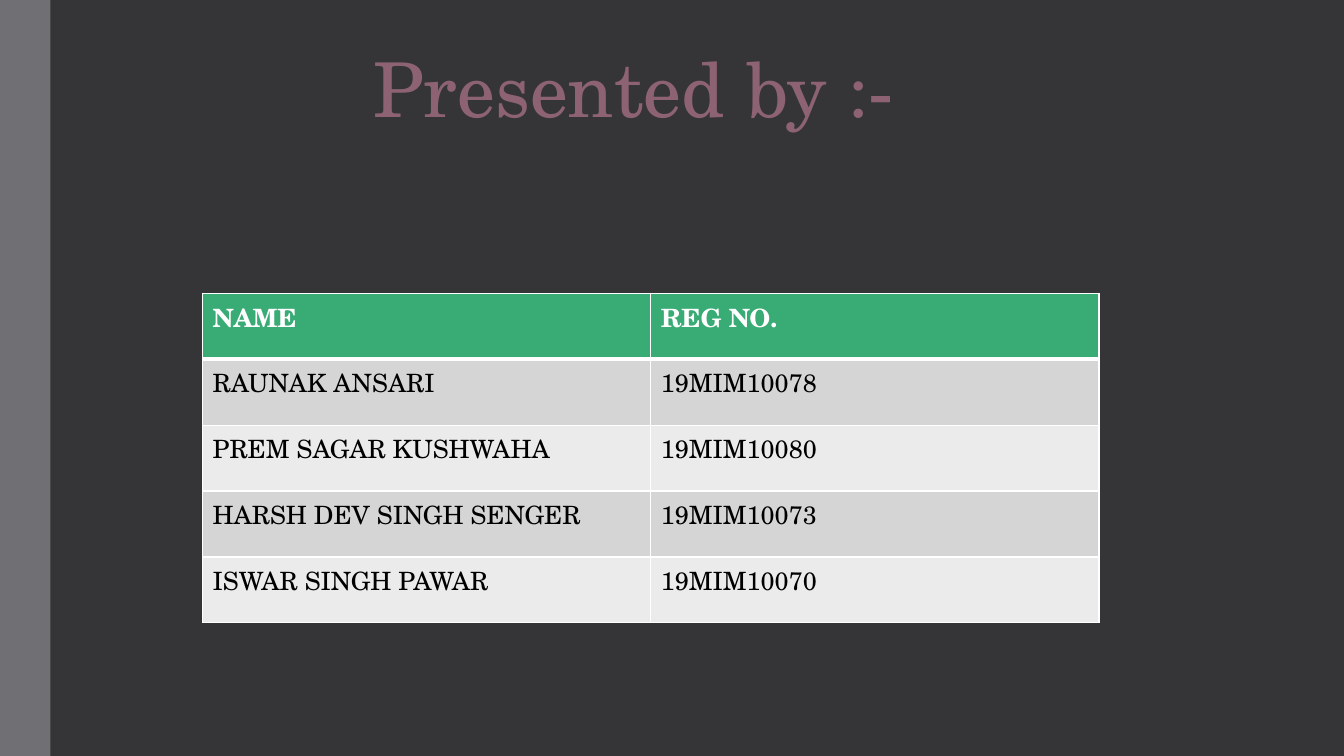
import dataclasses

import pptx
import pptx.dml.color
import pptx.enum.shapes
import pptx.enum.text
import pptx.oxml
import pptx.oxml.ns
import pptx.util

Inches = pptx.util.Inches
Pt = pptx.util.Pt


@dataclasses.dataclass(frozen=True)
class Theme:
    font: str = "TeX Gyre Schola"
    title_size: int = 54
    table_size: int = 18
    background: str = "353537"
    side_band: str = "6F6F74"
    title: str = "8D6374"
    header: str = "39AB75"
    bands: tuple = ("D5D5D6", "EBEBEB")
    light: str = "FFFFFF"
    dark: str = "000000"


THEME = Theme()

PRESENTERS = [
    ("NAME", "REG NO."),
    ("RAUNAK ANSARI", "19MIM10078"),
    ("PREM SAGAR KUSHWAHA", "19MIM10080"),
    ("HARSH DEV SINGH SENGER", "19MIM10073"),
    ("ISWAR SINGH PAWAR", "19MIM10070"),
]


def paint(fill, color):
    fill.solid()
    fill.fore_color.rgb = pptx.dml.color.RGBColor.from_string(color)


def add_run(p, text, size, color, bold=False):
    r = p.add_run()
    r.text = text
    r.font.name = THEME.font
    r.font.size = Pt(size)
    r.font.bold = bold
    r.font.color.rgb = pptx.dml.color.RGBColor.from_string(color)


def set_borders(cell, **widths):
    """Draw cell borders; widths are points, given in the order L, R, T, B."""
    tcPr = cell._tc.get_or_add_tcPr()
    for i, (side, width) in enumerate(widths.items()):
        tcPr.insert(i, pptx.oxml.parse_xml(
            f'<a:ln{side} {pptx.oxml.ns.nsdecls("a")} w="{Pt(width)}">'
            f'<a:solidFill><a:srgbClr val="{THEME.light}"/></a:solidFill>'
            f'</a:ln{side}>'))


def add_side_band(s, left, top, width, height):
    sp = s.shapes.add_shape(
        pptx.enum.shapes.MSO_SHAPE.RECTANGLE,
        Inches(left), Inches(top), Inches(width), Inches(height))
    sp.shadow.inherit = False
    paint(sp.fill, THEME.side_band)
    sp.line.fill.background()


def add_title(s, text, left, top, width, height):
    sp = s.shapes.title
    sp.left, sp.top = Inches(left), Inches(top)
    sp.width, sp.height = Inches(width), Inches(height)
    tf = sp.text_frame
    tf.word_wrap = False
    tf.auto_size = pptx.enum.text.MSO_AUTO_SIZE.NONE
    tf.vertical_anchor = pptx.enum.text.MSO_ANCHOR.TOP
    p = tf.paragraphs[0]
    p.alignment = pptx.enum.text.PP_ALIGN.CENTER
    add_run(p, text, THEME.title_size, THEME.title)


def add_presenter_table(s, rows, left, top, width, height):
    table = s.shapes.add_table(
        len(rows), len(rows[0]),
        Inches(left), Inches(top), Inches(width), Inches(height)).table
    for i, row in enumerate(rows):
        header = i == 0
        fill = THEME.header if header else THEME.bands[(i - 1) % 2]
        color = THEME.light if header else THEME.dark
        for j, text in enumerate(row):
            cell = table.cell(i, j)
            paint(cell.fill, fill)
            set_borders(cell, L=1, R=1, T=3 if i == 1 else 1, B=3 if header else 1)
            add_run(cell.text_frame.paragraphs[0], text,
                    THEME.table_size, color, bold=header)


def main():
    prs = pptx.Presentation()
    prs.slide_width, prs.slide_height = Inches(13.33), Inches(7.5)
    s = prs.slides.add_slide(prs.slide_layouts[5])
    paint(s.background.fill, THEME.background)
    add_side_band(s, 0, 0, 0.5, 7.5)
    add_presenter_table(s, PRESENTERS, 2.01, 2.91, 8.89, 3.27)
    add_title(s, "Presented by :-", 3.57, 0.37, 5.43, 1.92)
    prs.save("out.pptx")


if __name__ == "__main__":
    main()
